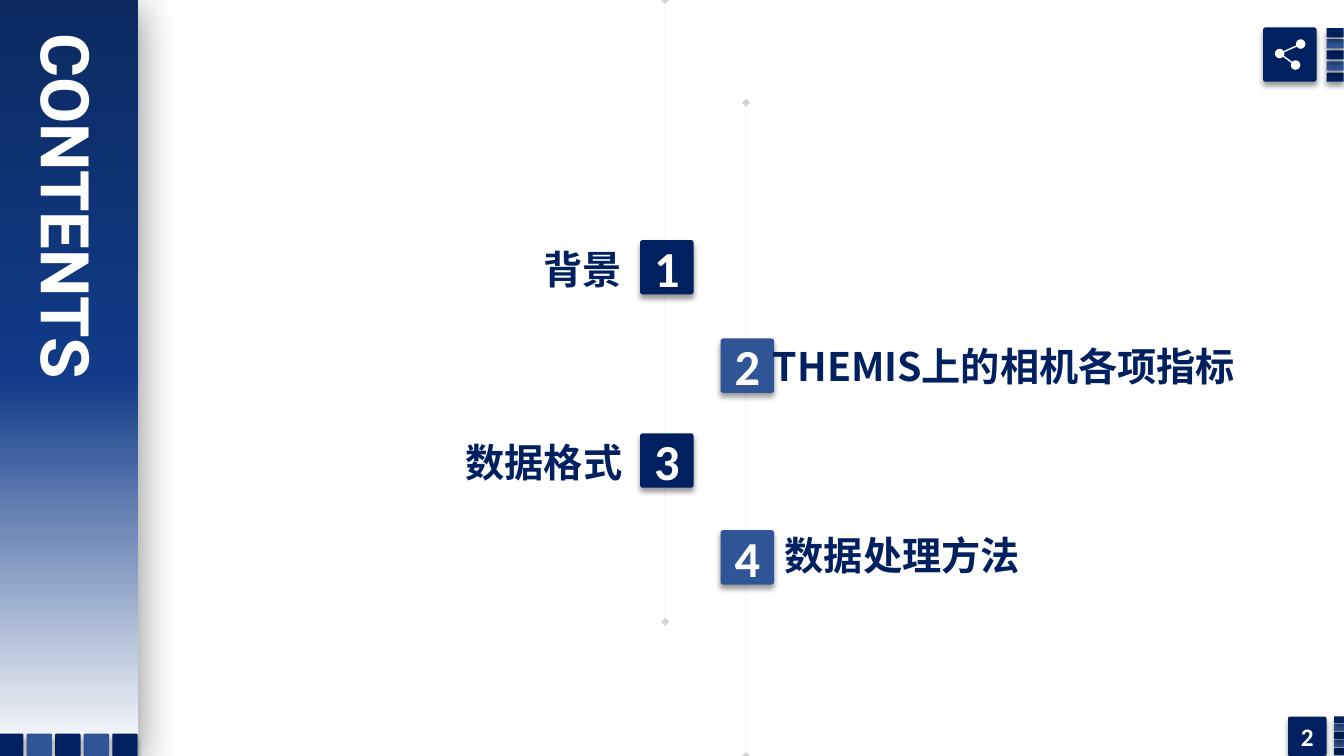
from copy import deepcopy

from lxml import etree
from pptx import Presentation
from pptx.dml.color import RGBColor
from pptx.enum import shapes, text
from pptx.oxml.ns import qn
from pptx.util import Cm, Pt

COLORS = {"navy": "002060", "blue": "2F5597", "white": "FFFFFF",
          "line": "808080", "black": "000000"}
PANEL_STOPS = [(0, "0C2A60"), (0.5, "113B89"), (1, "FFFFFF")]
TITLE = "CONTENTS"
PAGE_NUMBER = "2"
LEFT, RIGHT = text.PP_ALIGN.LEFT, text.PP_ALIGN.RIGHT
# number, label, badge top, label (left, top, width), alignment, wrap
CHAPTERS = [
    ("1", "背景", 6.05, (13.13, 6.05, 2.8), RIGHT, False),
    ("2", "THEMIS上的相机各项指标", 8.53, (19.23, 8.51, 14.5), LEFT, True),
    ("3", "数据格式", 10.92, (11.43, 10.92, 4.5), RIGHT, False),
    ("4", "数据处理方法", 13.36, (19.53, 13.26, 6.5), LEFT, False),
]
BADGE_COLUMNS = [(16.13, "navy"), (18.16, "blue")]
BADGE_SIZE = (1.35, 1.37)
# x, top, bottom
TIMELINES = [(18.8, 2.59, 19.05), (16.76, 0, 15.67)]
# first left, first top, width, height, step right, step down
TILE_ROWS = {
    "panel foot": (-0.05, 18.49, 0.64, 0.56, 0.72, 0),
    "page number": (33.62, 18.05, 0.3, 0.18, 0, 0.2),
    "share icon": (33.43, 0.71, 0.43, 0.23, 0, 0.28),
}
# centres of the share icon's dots, the middle one joins the others
SHARE_DOTS = [(32.78, 1.11), (32.25, 1.35), (32.65, 1.64)]
DOT = 0.24

deck = Presentation()
deck.slide_width, deck.slide_height = Cm(33.87), Cm(19.05)
page = deck.slides.add_slide(deck.slide_layouts[5])


def rgb(name):
    return RGBColor.from_string(COLORS[name])


def add_alpha(color, percent):
    etree.SubElement(color, qn("a:alpha"), val=str(percent * 1000))


def add_shadow(shape, alpha=40, blur=4, distance=3, angle=90):
    effects = etree.SubElement(shape._element.spPr, qn("a:effectLst"))
    shadow = etree.SubElement(
        effects, qn("a:outerShdw"), blurRad=str(Pt(blur)), dist=str(Pt(distance)),
        dir=str(angle * 60000), algn="t", rotWithShape="0")
    add_alpha(etree.SubElement(shadow, qn("a:srgbClr"), val=COLORS["black"]), alpha)


def write(shape, words, size, font, color, align):
    frame = shape.text_frame
    frame.text = words
    para = frame.paragraphs[0]
    para.alignment = align
    span = para.runs[0]
    span.font.size, span.font.bold, span.font.name = Pt(size), True, font
    span.font.color.rgb = rgb(color)
    etree.SubElement(span._r.get_or_add_rPr(), qn("a:ea"), typeface=font)
    return frame


def add_tile(left, top, width, height, color):
    tile = page.shapes.add_shape(shapes.MSO_SHAPE.ROUNDED_RECTANGLE,
                                 Cm(left), Cm(top), Cm(width), Cm(height))
    tile.adjustments[0] = 0.05
    tile.fill.solid()
    tile.fill.fore_color.rgb = rgb(color)
    tile.line.fill.background()
    add_shadow(tile)
    return tile


def add_number(tile, number, size):
    frame = write(tile, number, size, "Calibri", "white", text.PP_ALIGN.CENTER)
    frame.vertical_anchor = text.MSO_ANCHOR.MIDDLE
    return frame


def add_tile_row(name):
    """Five tiles in alternating colours, the last one drawn first."""
    left, top, width, height, across, down = TILE_ROWS[name]
    for i in reversed(range(5)):
        add_tile(left + i * across, top + i * down, width, height,
                 ("navy", "blue")[i % 2])


def add_line(start, end, color, width):
    line = page.shapes.add_connector(shapes.MSO_CONNECTOR.STRAIGHT,
                                     *(Cm(v) for v in (*start, *end)))
    line.line.color.rgb = rgb(color)
    line.line.width = Pt(width)
    etree.SubElement(line._element.spPr, qn("a:effectLst"))
    return line


def add_timeline(x, top, bottom):
    outline = add_line((x, top), (x, bottom), "line", 0.25).line._get_or_add_ln()
    add_alpha(outline.find(".//" + qn("a:srgbClr")), 33)
    for end in ("a:headEnd", "a:tailEnd"):
        etree.SubElement(outline, qn(end), type="diamond")


def add_panel():
    panel = page.shapes.add_shape(shapes.MSO_SHAPE.RECTANGLE,
                                  0, 0, Cm(3.48), deck.slide_height)
    panel.fill.gradient()
    panel.fill.gradient_angle = 270
    stop_list = panel._element.spPr.find(".//" + qn("a:gsLst"))
    stop_list.append(deepcopy(stop_list[0]))
    for stop, (position, color) in zip(panel.fill.gradient_stops, PANEL_STOPS):
        stop.position = position
        stop.color.rgb = RGBColor.from_string(color)
    panel.line.fill.background()
    add_shadow(panel, 50, 31, 6, 97)


def add_title():
    title = page.shapes.title
    title.left, title.top, title.width, title.height = map(Cm, (0.41, 0.71, 2.57, 12.55))
    frame = write(title, TITLE, 48, "Roboto", "white", LEFT)
    frame.auto_size = text.MSO_AUTO_SIZE.NONE
    frame.vertical_anchor = text.MSO_ANCHOR.TOP
    frame._txBody.bodyPr.set("vert", "eaVert")
    page.shapes._spTree.append(title._element)


def add_chapters():
    for i, (number, label, top, (left, label_top, width), align, wrap) in enumerate(CHAPTERS):
        badge_left, color = BADGE_COLUMNS[i % 2]
        add_number(add_tile(badge_left, top, *BADGE_SIZE, color), number, 36)
        box = page.shapes.add_textbox(Cm(left), Cm(label_top), Cm(width), Cm(1.45))
        frame = write(box, label, 28, "Noto Sans CJK SC", "navy", align)
        frame.word_wrap = wrap


def add_share_icon():
    add_tile(31.83, 0.69, *BADGE_SIZE, "navy")
    for end in SHARE_DOTS[::2]:
        add_line(SHARE_DOTS[1], end, "white", 1)
    for x, y in SHARE_DOTS:
        dot = page.shapes.add_shape(shapes.MSO_SHAPE.OVAL, Cm(x - DOT / 2),
                                    Cm(y - DOT / 2), Cm(DOT), Cm(DOT))
        dot.shadow.inherit = False
        dot.fill.solid()
        dot.fill.fore_color.rgb = rgb("white")
        dot.line.fill.background()


for timeline in TIMELINES:
    add_timeline(*timeline)
add_panel()
add_tile_row("panel foot")
add_title()
add_chapters()
add_tile_row("page number")
page_frame = add_number(add_tile(32.46, 18.06, 0.97, 0.99, "navy"), PAGE_NUMBER, 18)
page_frame.margin_left = page_frame.margin_right = 0
add_tile_row("share icon")
add_share_icon()

deck.save("out.pptx")
